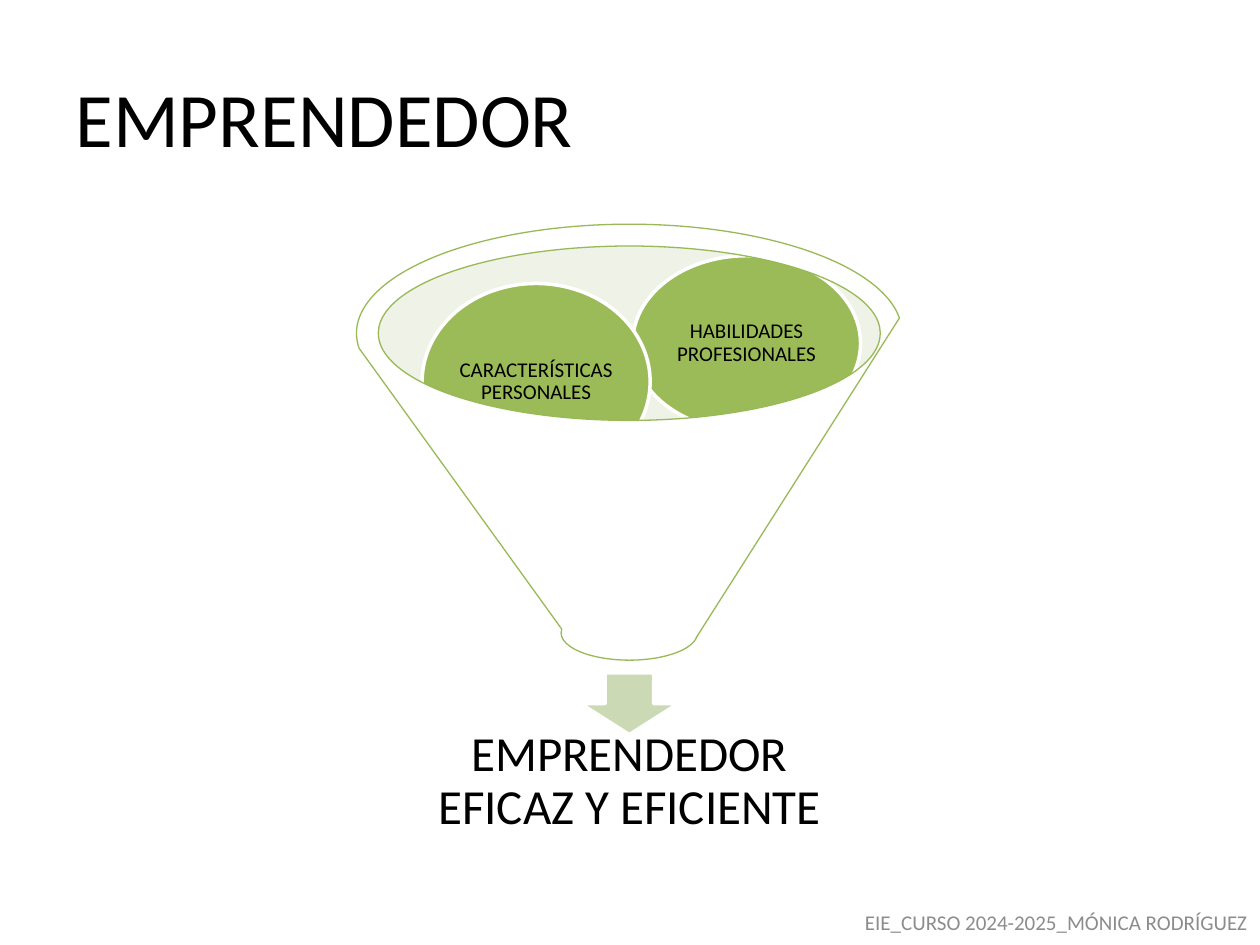
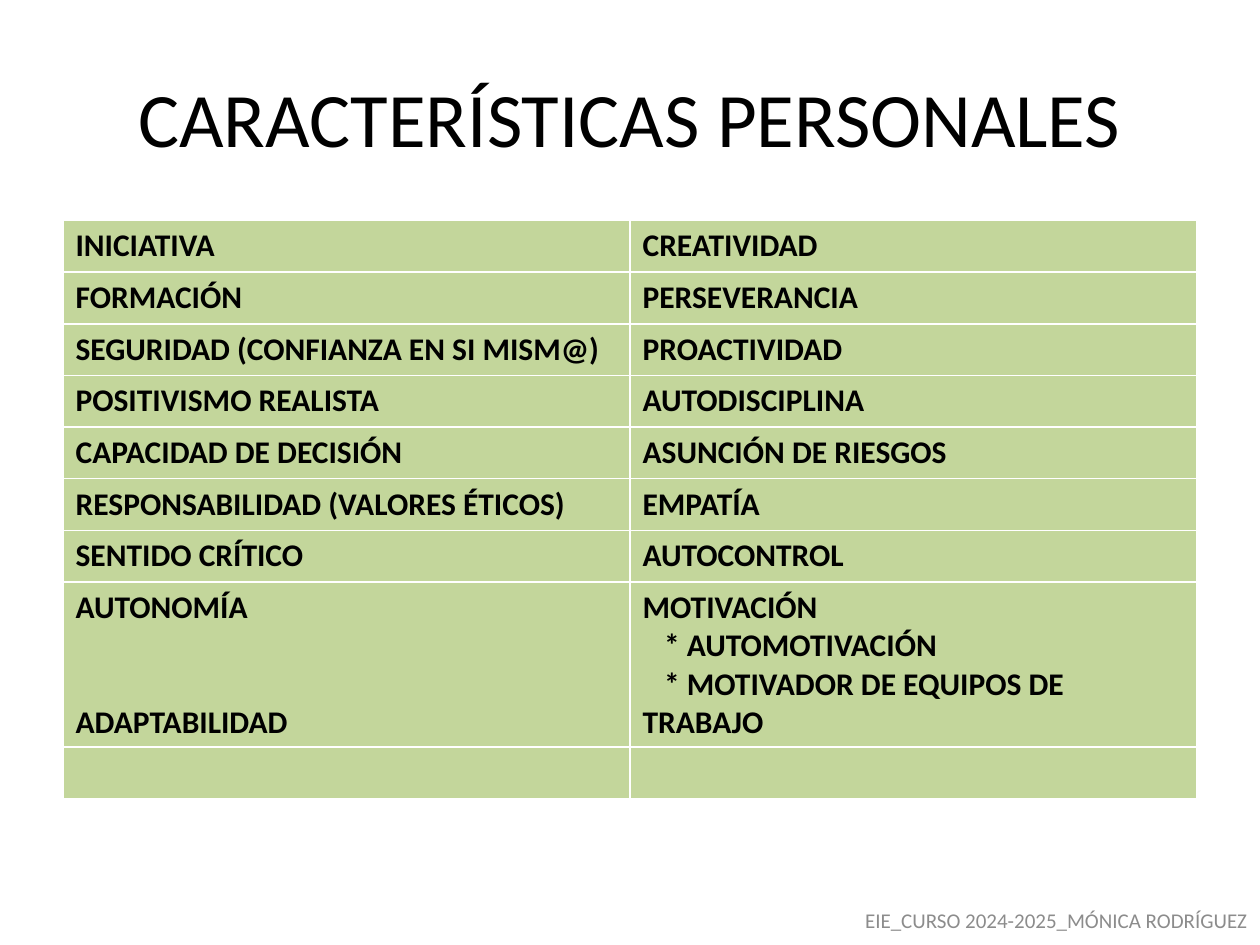
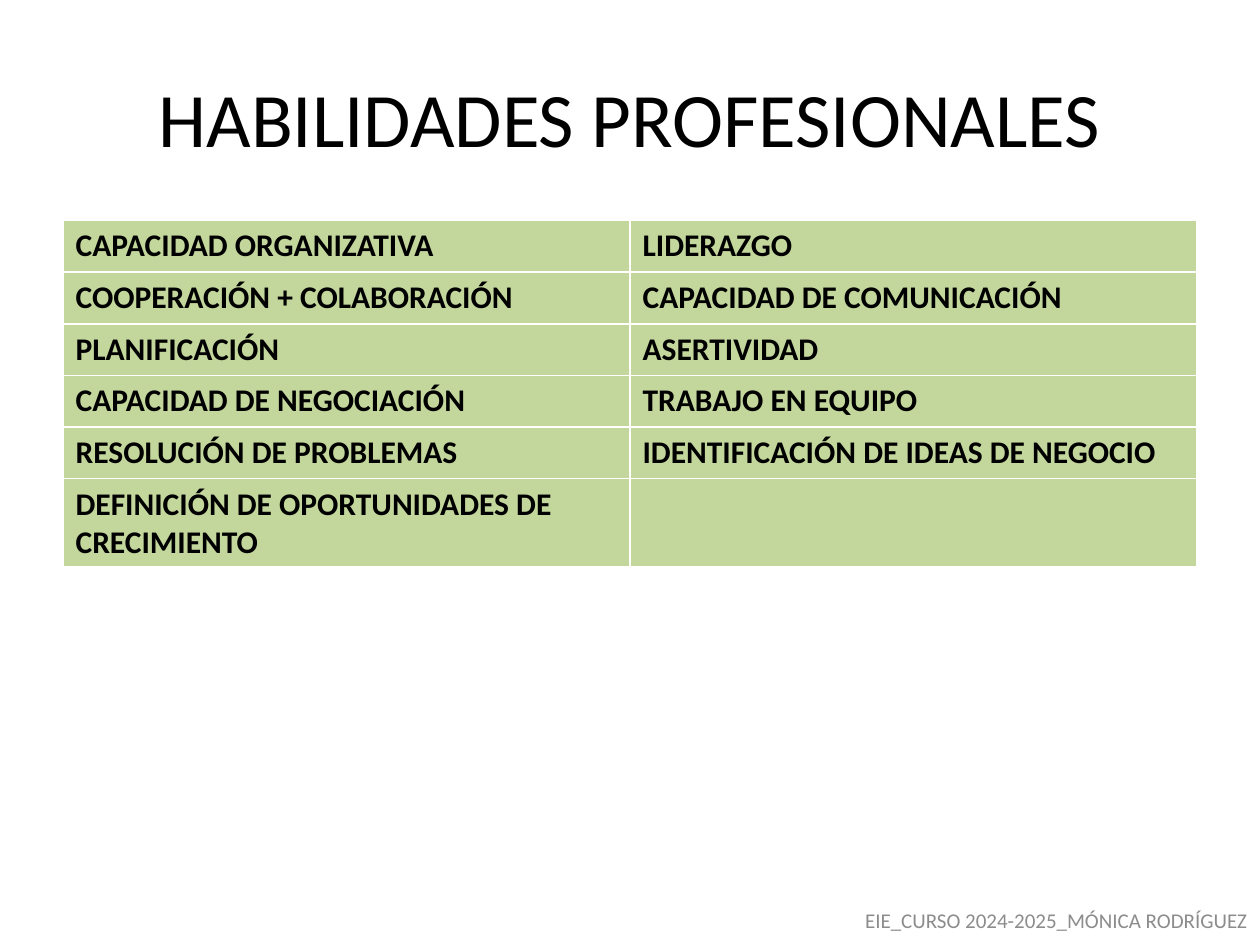
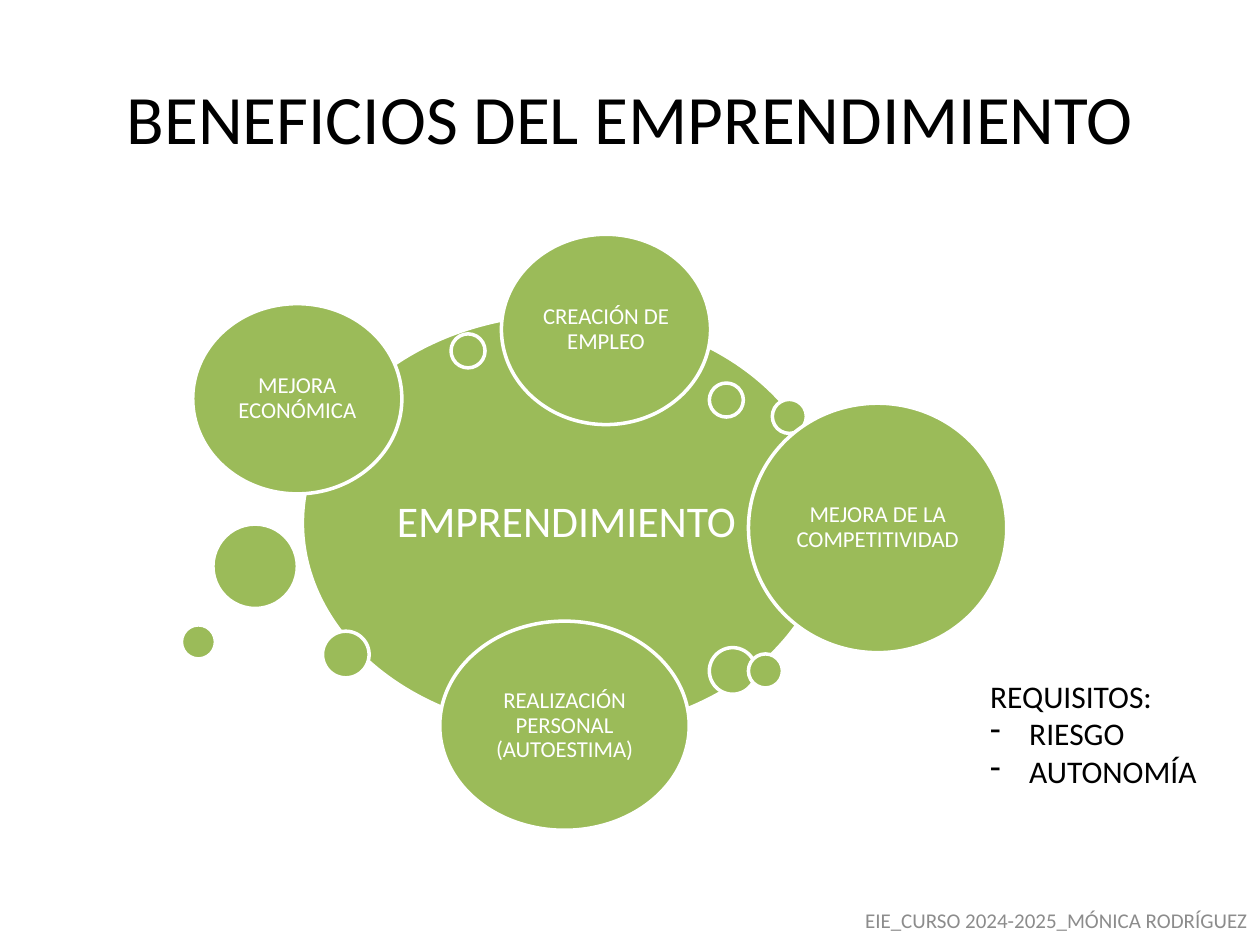
"""Build four slides on entrepreneurs: funnel, two trait tables and benefits."""
import pptx
import pptx.util
import pptx.dml.color
import pptx.enum.shapes
import pptx.enum.text
import pptx.oxml
import pptx.oxml.ns

Inches = pptx.util.Inches
Pt = pptx.util.Pt
SHAPE = pptx.enum.shapes.MSO_SHAPE
ALIGN = pptx.enum.text.PP_ALIGN
ANCHOR = pptx.enum.text.MSO_ANCHOR

FONT = "Calibri"
BLACK, WHITE, GREY = "000000", "FFFFFF", "8C8C8C"
GREEN, PALE, ARROW, RIM, CELL = "9BBB59", "D5E0C4", "CBDAB5", "98B955", "C3D69B"
FOOTER = "EIE_CURSO 2024-2025_MÓNICA RODRÍGUEZ"
SUBITEM = "* "

INGREDIENTS = [
    ("HABILIDADES PROFESIONALES", (5.02, 2.03, 1.81, 1.39)),
    ("CARACTERÍSTICAS PERSONALES", (3.35, 2.25, 1.81, 1.56)),
]
RESULT = "EMPRENDEDOR EFICAZ Y EFICIENTE"

TRAITS = [
    ("INICIATIVA", "CREATIVIDAD"),
    ("FORMACIÓN", "PERSEVERANCIA"),
    ("SEGURIDAD (CONFIANZA EN SI MISM@)", "PROACTIVIDAD"),
    ("POSITIVISMO REALISTA", "AUTODISCIPLINA"),
    ("CAPACIDAD DE DECISIÓN", "ASUNCIÓN DE RIESGOS"),
    ("RESPONSABILIDAD (VALORES ÉTICOS)", "EMPATÍA"),
    ("SENTIDO CRÍTICO", "AUTOCONTROL"),
    ("AUTONOMÍA\nADAPTABILIDAD",
     "MOTIVACIÓN\n* AUTOMOTIVACIÓN\n* MOTIVADOR DE EQUIPOS DE TRABAJO"),
    ("", ""),
]
SKILLS = [
    ("CAPACIDAD ORGANIZATIVA", "LIDERAZGO"),
    ("COOPERACIÓN + COLABORACIÓN", "CAPACIDAD DE COMUNICACIÓN"),
    ("PLANIFICACIÓN", "ASERTIVIDAD"),
    ("CAPACIDAD DE NEGOCIACIÓN", "TRABAJO EN EQUIPO"),
    ("RESOLUCIÓN DE PROBLEMAS", "IDENTIFICACIÓN DE IDEAS DE NEGOCIO"),
    ("DEFINICIÓN DE OPORTUNIDADES DE CRECIMIENTO", ""),
]

SMALL, MEDIUM, LARGE = 0.27, 0.37, 0.67
BUBBLES = [
    ("EMPRENDIMIENTO", 2.4, 2.49, 4.19, 3.32),
    ("", 2.56, 5.01, MEDIUM, MEDIUM),
    ("", 4.13, 5.48, SMALL, SMALL),
    ("", 6.13, 3.17, SMALL, SMALL),
    ("", 4.86, 5.18, MEDIUM, MEDIUM),
    ("", 3.58, 2.65, SMALL, SMALL),
    ("", 2.71, 3.28, SMALL, SMALL),
    ("MEJORA ECONÓMICA", 1.53, 2.41, 1.66, 1.51),
    ("", 4.12, 2.21, MEDIUM, MEDIUM),
    ("", 1.69, 4.16, LARGE, LARGE),
    ("CREACIÓN DE EMPLEO", 3.98, 1.86, 1.66, 1.51),
    ("", 5.63, 5.14, MEDIUM, MEDIUM),
    ("", 1.44, 4.96, SMALL, SMALL),
    ("", 4.13, 5.17, SMALL, SMALL),
    ("MEJORA DE LA COMPETITIVIDAD", 5.94, 3.2, 2.05, 1.98),
    ("", 5.63, 3.04, SMALL, SMALL),
    ("REALIZACIÓN PERSONAL (AUTOESTIMA)", 3.49, 4.93, 1.98, 1.66),
    ("", 5.94, 5.19, SMALL, SMALL),
]
REQUIREMENTS = ["REQUISITOS:", "RIESGO", "AUTONOMÍA"]


def paint(target, colour):
    """Apply a solid hex colour to a fill."""
    target.solid()
    target.fore_color.rgb = pptx.dml.color.RGBColor.from_string(colour)


def style_text(frame, size, colour=BLACK, align=ALIGN.LEFT, bold=False, spacing=None):
    """Format every paragraph and run of a text frame."""
    for para in frame.paragraphs:
        para.alignment = align
        para.line_spacing = spacing
        for span in para.runs:
            span.font.name = FONT
            span.font.size = Pt(size)
            span.font.bold = bold
            paint(span.font.fill, colour)


def set_margins(frame, margin):
    """Give a text frame the same margin on all sides."""
    frame.margin_left = frame.margin_right = Inches(margin)
    frame.margin_top = frame.margin_bottom = Inches(margin)


def add_page(deck, title, footer_left, footer_top=7.1, size=44, align=ALIGN.CENTER):
    """Add a slide with its title and footer."""
    page = deck.slides.add_slide(deck.slide_layouts[5])
    heading = page.shapes.title
    heading.left, heading.top = Inches(0.5), Inches(0.3)
    heading.width, heading.height = Inches(9), Inches(1.25)
    heading.text_frame.text = title
    heading.text_frame.vertical_anchor = ANCHOR.MIDDLE
    style_text(heading.text_frame, size, align=align)
    footer = add_text(page, FOOTER, (footer_left, footer_top, 10 - footer_left, 0.4))
    footer.vertical_anchor = ANCHOR.MIDDLE
    style_text(footer, 12, GREY, ALIGN.RIGHT)
    return page


def add_text(page, text, area):
    """Add a wrapping text box and return its frame."""
    frame = page.shapes.add_textbox(*map(Inches, area)).text_frame
    frame.word_wrap = True
    frame.text = text
    return frame


def add_figure(page, kind, area, fill, line=None, width=2):
    """Add a flat preset shape."""
    figure = page.shapes.add_shape(kind, *map(Inches, area))
    figure.shadow.inherit = False
    paint(figure.fill, fill)
    if line:
        paint(figure.line.fill, line)
        figure.line.width = Pt(width)
    else:
        figure.line.fill.background()
    return figure


def add_bubble(page, text, area, size, colour, margin):
    """Add a green ellipse, with a centred label if there is one."""
    bubble = add_figure(page, SHAPE.OVAL, area, GREEN, WHITE)
    if text:
        frame = bubble.text_frame
        frame.word_wrap = True
        frame.vertical_anchor = ANCHOR.MIDDLE
        set_margins(frame, margin)
        frame.text = text
        style_text(frame, size, colour, ALIGN.CENTER, spacing=0.9)


def add_funnel(page):
    """Draw the funnel, what goes in and what comes out."""
    mouth = add_figure(page, SHAPE.OVAL, (3, 1.95, 3.99, 1.39), PALE)
    tint = mouth.fill._xPr.find(".//" + pptx.oxml.ns.qn("a:srgbClr"))
    tint.append(pptx.oxml.parse_xml(
        f'<a:alpha {pptx.oxml.ns.nsdecls("a")} val="40000"/>'))
    add_figure(page, SHAPE.DOWN_ARROW, (4.61, 5.34, 0.77, 0.49), ARROW, WHITE)
    caption = add_text(page, RESULT, (3.14, 5.74, 3.71, 0.93))
    caption.vertical_anchor = ANCHOR.MIDDLE
    set_margins(caption, 0.16)
    style_text(caption, 28, align=ALIGN.CENTER, spacing=0.9)
    for text, area in INGREDIENTS:
        add_bubble(page, text, area, 12, BLACK, 0)
    add_figure(page, SHAPE.FUNNEL, (2.83, 1.78, 4.33, 3.46), WHITE, RIM, 0.75)


def add_grid(page, rows):
    """Add a two-column table of bold entries."""
    row_height = 0.41
    area = (0.5, 1.75, 9, row_height * len(rows))
    table = page.shapes.add_table(len(rows), 2, *map(Inches, area)).table
    table.first_row = table.horz_banding = False
    for row, entries in zip(table.rows, rows):
        row.height = Inches(row_height)
        for cell, text in zip(row.cells, entries):
            paint(cell.fill, CELL)
            cell.text_frame.text = text
            style_text(cell.text_frame, 18, bold=True)
            for para in cell.text_frame.paragraphs[1:]:
                if para.text.startswith(SUBITEM):
                    para._p.get_or_add_pPr().set("indent", str(Inches(0.17)))
                else:
                    para.space_before = Pt(44)


def add_requirements(page):
    """List the requirements with dash bullets."""
    frame = add_text(page, "\n".join(REQUIREMENTS), (7.76, 5.32, 2.05, 1.01))
    style_text(frame, 18)
    for para in frame.paragraphs[1:]:
        props = para._p.get_or_add_pPr()
        props.set("marL", str(Inches(0.31)))
        props.set("indent", str(-Inches(0.31)))
        props.append(pptx.oxml.parse_xml(
            f'<a:buChar {pptx.oxml.ns.nsdecls("a")} char="-"/>'))


def main():
    """Build and save the deck."""
    deck = pptx.Presentation()
    deck.slide_width, deck.slide_height = Inches(10), Inches(7.5)
    add_funnel(add_page(deck, "EMPRENDEDOR", 5, 7.12, align=ALIGN.LEFT))
    add_grid(add_page(deck, "CARACTERÍSTICAS PERSONALES", 4.92), TRAITS)
    add_grid(add_page(deck, "HABILIDADES PROFESIONALES", 4.21), SKILLS)
    benefits = add_page(deck, "BENEFICIOS DEL EMPRENDIMIENTO", 5.18, size=39.6)
    for index, (text, *area) in enumerate(BUBBLES):
        add_bubble(benefits, text, area, 13 if index else 25, WHITE, 0.06)
    add_requirements(benefits)
    deck.save("out.pptx")


if __name__ == "__main__":
    main()
